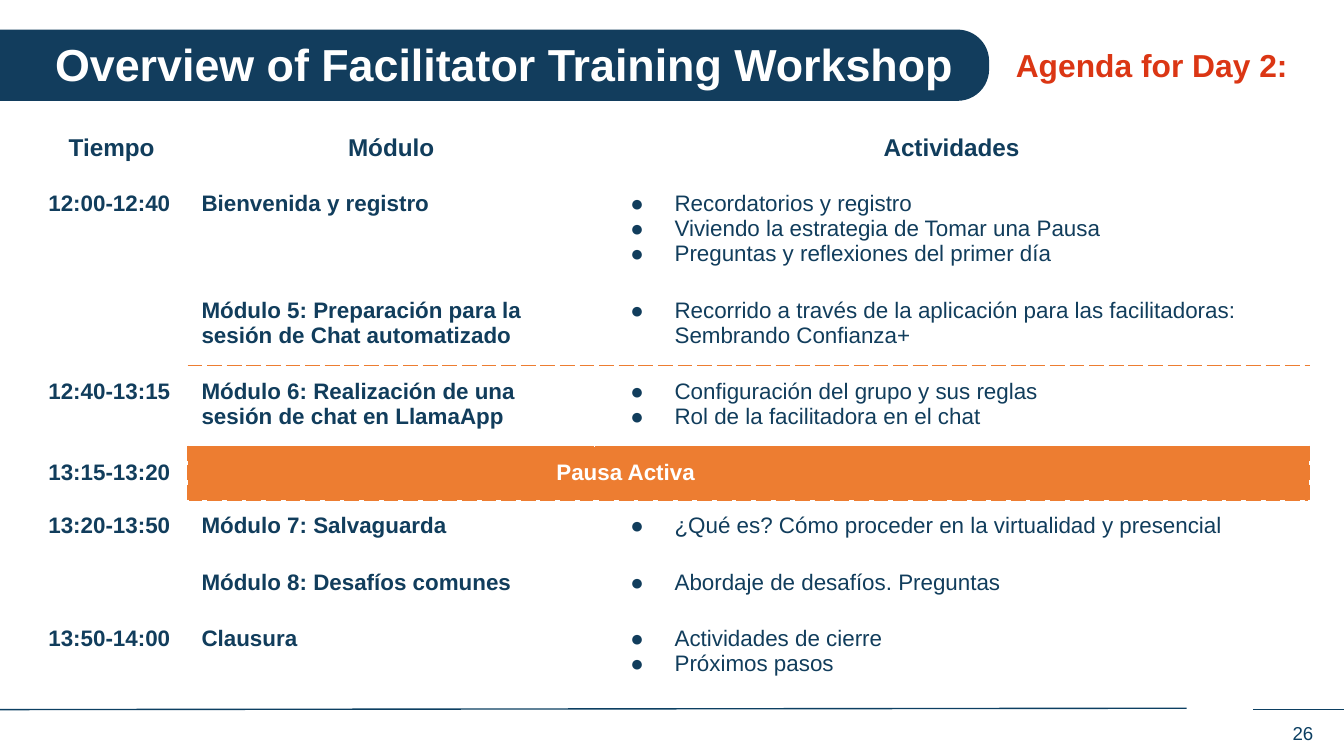
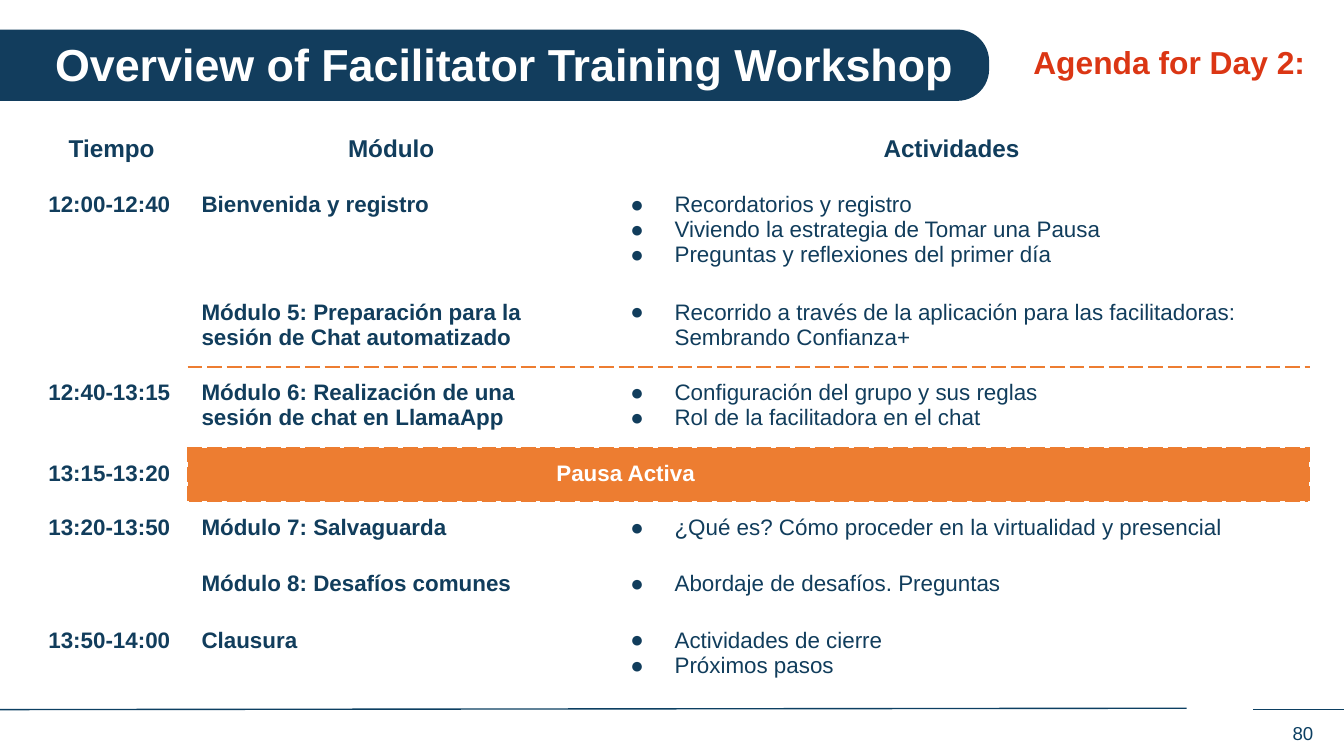
from lxml import etree
from pptx import Presentation
from pptx.dml.color import RGBColor
from pptx.enum.shapes import MSO_CONNECTOR, MSO_SHAPE
from pptx.enum.text import MSO_ANCHOR, PP_ALIGN
from pptx.oxml import parse_xml
from pptx.oxml.ns import nsdecls, qn
from pptx.util import Inches, Pt

NAVY = RGBColor(0x11, 0x3D, 0x5C)
BAND_NAVY = RGBColor(0x12, 0x3D, 0x5D)
FOOTER_NAVY = RGBColor(0x0C, 0x3F, 0x62)
RED = RGBColor(0xDB, 0x36, 0x14)
ORANGE = RGBColor(0xED, 0x7D, 0x31)
WHITE = RGBColor(0xFF, 0xFF, 0xFF)
FONT = "Arial"

COLUMN_WIDTHS = (1.14, 3.02, 5.32)
ROW_HEIGHTS = (0.42, 0.8, 0.6, 0.6, 0.4, 0.42, 0.42, 0.6)
HEADINGS = ("Tiempo", "Módulo", "Actividades")
PAUSE_ROW = 4
ORANGE_EDGES = (3, 4, 5)  # horizontal grid lines, counted from the table top
PAUSE_INDENT = 2.64

# time, module, activities; a time of None continues the one above,
# and a line break in an activity starts an unbulleted line
SESSIONS = (
    ("12:00-12:40", "Bienvenida y registro",
     ("Recordatorios y registro",
      "Viviendo la estrategia de Tomar una Pausa",
      "Preguntas y reflexiones del primer día")),
    (None, "Módulo 5: Preparación para la sesión de Chat automatizado",
     ("Recorrido a través de la aplicación para las facilitadoras:\n"
      "Sembrando Confianza+",)),
    ("12:40-13:15", "Módulo 6: Realización de una sesión de chat en LlamaApp",
     ("Configuración del grupo y sus reglas",
      "Rol de la facilitadora en el chat")),
    ("13:15-13:20", "Pausa Activa", ()),
    ("13:20-13:50", "Módulo 7: Salvaguarda",
     ("¿Qué es? Cómo proceder en la virtualidad y presencial",)),
    (None, "Módulo 8: Desafíos comunes",
     ("Abordaje de desafíos. Preguntas",)),
    ("13:50-14:00", "Clausura",
     ("Actividades de cierre", "Próximos pasos")),
)


def style(paragraph, size, color, bold=False, align=PP_ALIGN.LEFT):
    paragraph.alignment = align
    font = paragraph.font
    font.name, font.size, font.bold = FONT, Pt(size), bold
    font.color.rgb = color


def set_indent(paragraph, left, first=0.0, bullet=False):
    props = paragraph._p.get_or_add_pPr()
    props.set("marL", str(Inches(left)))
    props.set("indent", str(Inches(first)))
    if bullet:
        color = etree.SubElement(props, qn("a:buClr"))
        etree.SubElement(color, qn("a:srgbClr"), val=str(NAVY))
        etree.SubElement(props, qn("a:buFont"), typeface=FONT)
        etree.SubElement(props, qn("a:buChar"), char="●")


def fill_frame(frame, text, size, color, bold=False, align=PP_ALIGN.LEFT):
    """Put one styled paragraph in a top-anchored, wrapping frame."""
    frame.word_wrap = True
    frame.vertical_anchor = MSO_ANCHOR.TOP
    frame.text = text
    style(frame.paragraphs[0], size, color, bold, align)


def add_label(slide, box, text, size, color, bold=False, align=PP_ALIGN.LEFT):
    label = slide.shapes.add_textbox(*map(Inches, box))
    fill_frame(label.text_frame, text, size, color, bold, align)


def add_title_band(slide, box, text):
    """Draw a band with a rounded right end, with the title over it."""
    left, top, width, height = box
    # The preset rounds its bottom corners, so it stands upright and is turned.
    band = slide.shapes.add_shape(
        MSO_SHAPE.ROUND_2_SAME_RECTANGLE,
        Inches(left + (width - height) / 2), Inches(top + (height - width) / 2),
        Inches(height), Inches(width))
    band.rotation = 270
    band.adjustments[0], band.adjustments[1] = 0, 0.444
    band.shadow.inherit = False
    band.fill.solid()
    band.fill.fore_color.rgb = BAND_NAVY
    band.line.fill.background()

    title = slide.shapes.title
    title.element.addprevious(band.element)
    title.left, title.top = Inches(left + 0.31), Inches(top)
    title.width, title.height = Inches(9.69), Inches(0.5)
    fill_frame(title.text_frame, text, 24, WHITE, bold=True)


def add_footer(slide, top, number):
    for start, start_y, end in ((8.83, top - 0.01, 0), (10, top, 9.32)):
        rule = slide.shapes.add_connector(
            MSO_CONNECTOR.STRAIGHT, Inches(start), Inches(start_y),
            Inches(end), Inches(top))
        rule.line.color.rgb = FOOTER_NAVY
        rule.line.width = Pt(0.75)
        etree.SubElement(rule.element.spPr, qn("a:effectLst"))
    add_label(slide, (6.87, top + 0.04, 3, 0.29), str(number), 10,
              FOOTER_NAVY, align=PP_ALIGN.RIGHT)


def add_borders(cell, row, column):
    in_pause = row == PAUSE_ROW
    right_of_time = column > 0
    edges = {
        "lnL": in_pause and right_of_time,
        "lnR": in_pause,
        "lnT": right_of_time and row in ORANGE_EDGES,
        "lnB": right_of_time and row + 1 in ORANGE_EDGES,
    }
    props = cell._tc.get_or_add_tcPr()
    for tag, is_orange in edges.items():
        props.append(parse_xml(
            f'<a:{tag} {nsdecls("a")} w="{Pt(0.75)}"><a:solidFill>'
            f'<a:srgbClr val="{ORANGE if is_orange else WHITE}"/></a:solidFill>'
            f'<a:prstDash val="dash"/></a:{tag}>'))


def format_cell(cell, row, column):
    cell.margin_left = cell.margin_right = Inches(0.1)
    cell.margin_top = cell.margin_bottom = Inches(0.1)
    add_borders(cell, row, column)
    if row == PAUSE_ROW and column > 0:
        cell.fill.solid()
        cell.fill.fore_color.rgb = ORANGE
    else:
        cell.fill.background()


def write_activities(cell, activities):
    lines = [(line, index == 0) for activity in activities
             for index, line in enumerate(activity.split("\n"))]
    frame = cell.text_frame
    for index, (line, bullet) in enumerate(lines):
        paragraph = frame.add_paragraph() if index else frame.paragraphs[0]
        paragraph.text = line
        set_indent(paragraph, 0.5, -0.33 if bullet else 0, bullet)
        style(paragraph, 12, NAVY)


def write_cell(cell, text, size, color=NAVY, align=PP_ALIGN.LEFT, indent=0):
    cell.text = text
    paragraph = cell.text_frame.paragraphs[0]
    set_indent(paragraph, indent)
    style(paragraph, size, color, True, align)


def add_agenda(slide, left, top):
    agenda = slide.shapes.add_table(
        len(ROW_HEIGHTS), len(COLUMN_WIDTHS), Inches(left), Inches(top),
        Inches(sum(COLUMN_WIDTHS)), Inches(sum(ROW_HEIGHTS))).table
    agenda.first_row = agenda.horz_banding = False
    for column, width in zip(agenda.columns, COLUMN_WIDTHS):
        column.width = Inches(width)
    for row, height in enumerate(ROW_HEIGHTS):
        agenda.rows[row].height = Inches(height)
        for column in range(len(COLUMN_WIDTHS)):
            format_cell(agenda.cell(row, column), row, column)

    for column, heading in enumerate(HEADINGS):
        write_cell(agenda.cell(0, column), heading, 13, align=PP_ALIGN.CENTER)
    for row, (time, module, activities) in enumerate(SESSIONS, start=1):
        if time:
            write_cell(agenda.cell(row, 0), time, 12)
        else:
            agenda.cell(row - 1, 0).merge(agenda.cell(row, 0))
        if row == PAUSE_ROW:
            agenda.cell(row, 1).merge(agenda.cell(row, 2))
            write_cell(agenda.cell(row, 1), module, 12, WHITE,
                       indent=PAUSE_INDENT)
        else:
            write_cell(agenda.cell(row, 1), module, 12)
            write_activities(agenda.cell(row, 2), activities)


def add_agenda_slide(deck, number, day_left, day_top, agenda_top):
    slide = deck.slides.add_slide(deck.slide_layouts[5])
    add_footer(slide, 5.28, number)
    add_title_band(slide, (0, 0.22, 7.36, 0.53),
                   "Overview of Facilitator Training Workshop")
    add_label(slide, (day_left, day_top, 2.24, 0.39), "Agenda for Day 2:",
              17, RED, bold=True)
    add_agenda(slide, 0.26, agenda_top)


def main():
    deck = Presentation()
    deck.slide_width = Inches(10)
    deck.slide_height = deck.slide_width * 9 // 16
    add_agenda_slide(deck, 26, day_left=7.46, day_top=0.29, agenda_top=0.9)
    add_agenda_slide(deck, 80, day_left=7.59, day_top=0.27, agenda_top=0.91)
    deck.save("out.pptx")


if __name__ == "__main__":
    main()
